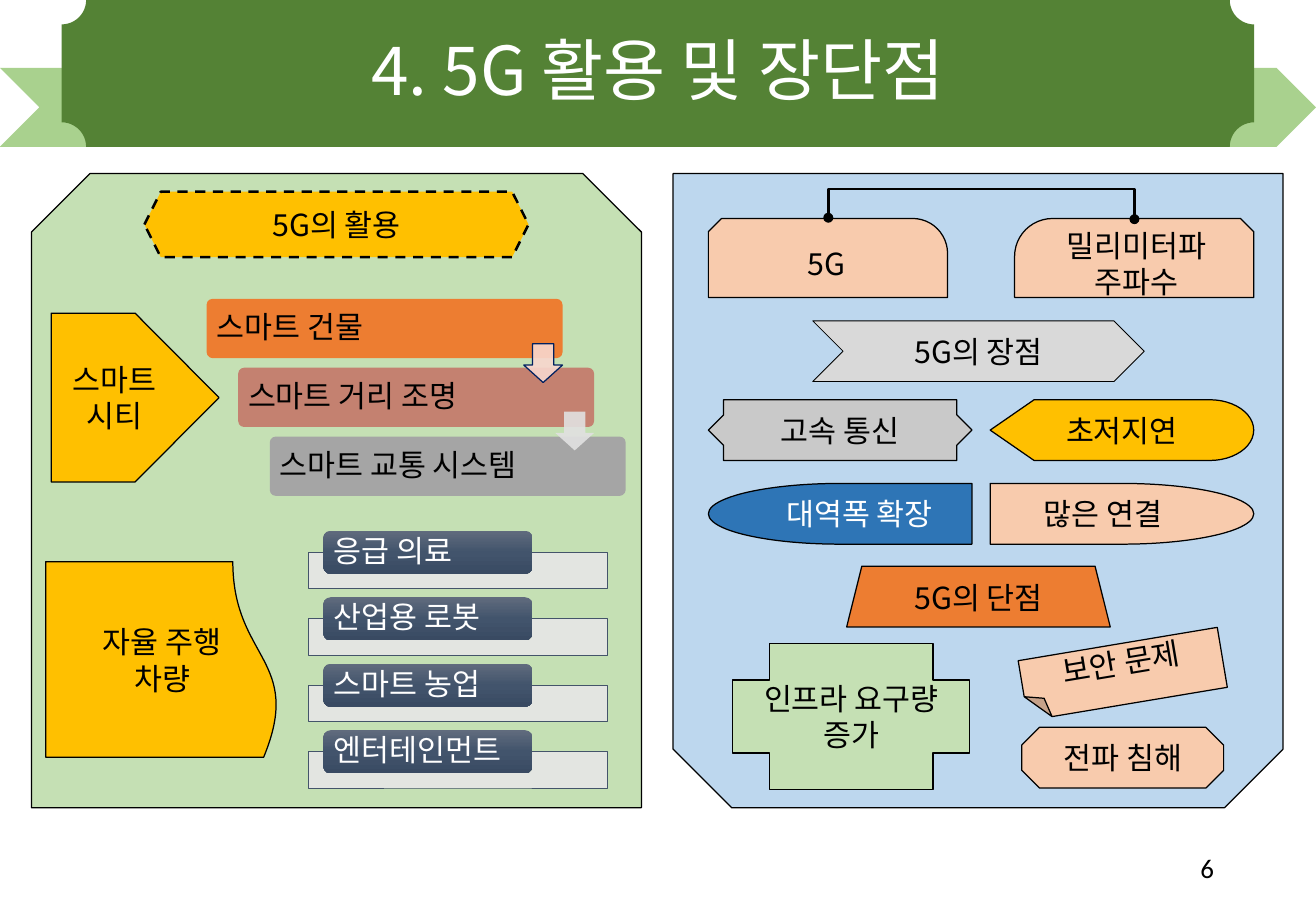
from copy import deepcopy
from dataclasses import dataclass

from lxml.etree import SubElement
from pptx import Presentation
from pptx.dml.color import RGBColor
from pptx.enum.dml import MSO_LINE
from pptx.enum.shapes import MSO_CONNECTOR, MSO_SHAPE
from pptx.enum.text import MSO_ANCHOR, PP_ALIGN
from pptx.oxml.ns import qn
from pptx.util import Cm, Pt


@dataclass(frozen=True)
class Theme:
    font: str = "Noto Sans CJK KR"
    number_font: str = "Calibri"
    title_size: int = 40
    body_size: int = 18
    number_size: int = 16
    black: str = "000000"
    white: str = "FFFFFF"
    ribbon: str = "A9D18E"
    banner: str = "548235"
    green: str = "C5E0B4"
    sky: str = "BDD7EE"
    yellow: str = "FFC000"
    orange: str = "ED7D31"
    peach: str = "F8CBAD"
    blue: str = "2E75B6"
    light_gray: str = "D9D9D9"
    silver: str = "C9C9C9"
    rose: str = "C48170"
    gray: str = "A5A5A5"
    track: str = "E7E6E6"
    slate: str = "44546A"
    navy: str = "002060"
    pink_arrow: str = "F8D7CE"
    gray_arrow: str = "E1E1E1"
    label_stops: tuple = ((0, "606B7D"), (0.5, "42546C"), (1, "394A62"))


theme = Theme()
LEFT_TEXT = {"align": PP_ALIGN.LEFT, "spacing": 0.9, "side": 0.17, "edge": 0}


def write_text(shape, text, color=theme.black, size=theme.body_size, font=theme.font,
               align=PP_ALIGN.CENTER, spacing=1.0, side=0.25, edge=0.13):
    frame = shape.text_frame
    frame_format = {"word_wrap": True, "vertical_anchor": MSO_ANCHOR.MIDDLE,
                    "margin_left": Cm(side), "margin_right": Cm(side),
                    "margin_top": Cm(edge), "margin_bottom": Cm(edge)}
    for name, value in frame_format.items():
        setattr(frame, name, value)
    for index, line in enumerate(text.split("\n")):
        paragraph = frame.add_paragraph() if index else frame.paragraphs[0]
        paragraph.alignment = align
        paragraph.line_spacing = spacing
        run = paragraph.add_run()
        run.text = line
        run.font.size = Pt(size)
        run.font.color.rgb = RGBColor.from_string(color)
        run.font.name = font
        SubElement(run._r.get_or_add_rPr(), qn("a:ea")).set("typeface", font)


def add_block(kind, box, fill, line=theme.black, width=0.75, text="", adjust=None,
              rotation=0, flip=False, opacity=100, **text_format):
    """Add a preset shape; box is left, top, width, height in centimetres."""
    shape = slide.shapes.add_shape(kind, *map(Cm, box))
    properties = shape._element.spPr
    shape.shadow.inherit = False
    shape.rotation = rotation
    if adjust:
        guides = properties.find(qn("a:prstGeom")).find(qn("a:avLst"))
        guides[:] = []
        for index, value in enumerate(adjust, 1):
            guide = SubElement(guides, qn("a:gd"))
            guide.set("name", f"adj{index}" if len(adjust) > 1 else "adj")
            guide.set("fmla", f"val {round(value * 100000)}")
    if flip:
        properties.xfrm.set("flipH", "1")
    shape.fill.solid()
    shape.fill.fore_color.rgb = RGBColor.from_string(fill)
    if opacity < 100:
        color = properties.find(qn("a:solidFill"))[0]
        SubElement(color, qn("a:alpha")).set("val", str(opacity * 1000))
    if line:
        shape.line.color.rgb = RGBColor.from_string(line)
        shape.line.width = Pt(width)
    else:
        shape.line.fill.background()
    if text:
        write_text(shape, text, **text_format)
    return shape


presentation = Presentation()
presentation.slide_width = Cm(27.51)
presentation.slide_height = Cm(19.05)
slide = presentation.slides.add_slide(presentation.slide_layouts[6])

# Banner, panels and slide number
add_block(MSO_SHAPE.CHEVRON, (0, 1.42, 27.51, 1.65), theme.ribbon, None)
add_block(MSO_SHAPE.PLAQUE, (1.29, 0, 24.93, 3.07), theme.banner, None)
title = slide.shapes.add_textbox(0, 0, Cm(27.51), Cm(3.07))
write_text(title, "4. 5G 활용 및 장단점", theme.white, theme.title_size, spacing=0.9)
for left, fill, rotation in ((0.66, theme.green, 0), (14.07, theme.sky, 180)):
    add_block(MSO_SHAPE.SNIP_2_SAME_RECTANGLE, (left, 3.63, 12.75, 13.26), fill,
              adjust=(0.096, 0), rotation=rotation)
number = slide.shapes.add_textbox(Cm(19.43), Cm(17.65), Cm(6.2), Cm(1.01))
write_text(number, "6", size=theme.number_size, font=theme.number_font, align=PP_ALIGN.RIGHT)

# Left panel: uses of 5G
heading = add_block(MSO_SHAPE.HEXAGON, (3.02, 4.01, 8.03, 1.37), theme.yellow,
                    width=1.5, text="5G의 활용")
heading.line.dash_style = MSO_LINE.DASH
add_block(MSO_SHAPE.PENTAGON, (1.07, 6.55, 3.51, 3.53), theme.yellow, text="스마트 시티")
add_block(MSO_SHAPE.FLOWCHART_DOCUMENT, (1.35, 11.35, 4.09, 4.88), theme.yellow, rotation=270)
vehicle = slide.shapes.add_textbox(Cm(1.7), Cm(12.9), Cm(3.38), Cm(1.8))
write_text(vehicle, "자율 주행 차량")

city_steps = (("스마트 건물", theme.orange), ("스마트 거리 조명", theme.rose),
              ("스마트 교통 시스템", theme.gray))
for step, (text, fill) in enumerate(city_steps):
    add_block(MSO_SHAPE.ROUNDED_RECTANGLE, (4.32 + 0.66 * step, 6.25 + 1.44 * step, 7.44, 1.24),
              fill, None, text=text, adjust=(0.1,), **LEFT_TEXT)
step_arrows = ((theme.pink_arrow, theme.navy), (theme.gray_arrow, None))
for step, (fill, line) in enumerate(step_arrows):
    add_block(MSO_SHAPE.DOWN_ARROW, (10.95 + 0.66 * step, 7.19 + 1.42 * step, 0.81, 0.81),
              fill, line, adjust=(0.55, 0.45), opacity=90)

for row, text in enumerate(("응급 의료", "산업용 로봇", "스마트 농업", "엔터테인먼트")):
    top = 11.1 + 1.39 * row
    add_block(MSO_SHAPE.RECTANGLE, (6.45, top + 0.45, 6.25, 0.76), theme.track, theme.slate,
              0.5, opacity=90)
    label = add_block(MSO_SHAPE.ROUNDED_RECTANGLE, (6.76, top, 4.37, 0.9), theme.slate, None,
                      text=text, color=theme.white, **LEFT_TEXT)
    label.fill.gradient()
    label.fill.gradient_angle = 270
    stops = label._element.spPr.find(".//" + qn("a:gsLst"))
    stops.insert(1, deepcopy(stops[0]))
    for stop, (position, color) in zip(label.fill.gradient_stops, theme.label_stops):
        stop.position = position
        stop.color.rgb = RGBColor.from_string(color)

# Right panel: strengths and weaknesses
LEFT, RIGHT, NOTE = 14.81, 20.7, 21.36
CELL = (5.51, 1.27)
right_blocks = (
    (MSO_SHAPE.SNIP_ROUND_RECTANGLE, (LEFT, 4.57, 5, 1.65), theme.peach, "5G",
     {"flip": True, "adjust": (0.443, 0.167)}),
    (MSO_SHAPE.SNIP_ROUND_RECTANGLE, (21.21, 4.57, 5, 1.65), theme.peach, "밀리미터파\n주파수",
     {"adjust": (0.48, 0.167)}),
    (MSO_SHAPE.CHEVRON, (16.99, 6.71, 6.93, 1.27), theme.light_gray, "5G의 장점", {"width": 0.5}),
    (MSO_SHAPE.LEFT_RIGHT_ARROW_CALLOUT, (LEFT, 8.36, *CELL), theme.silver, "고속 통신",
     {"adjust": (0.5, 0.25, 0.25, 0.901)}),
    (MSO_SHAPE.FLOWCHART_DISPLAY, (RIGHT, 8.36, *CELL), theme.yellow, "초저지연", {}),
    (MSO_SHAPE.FLOWCHART_DELAY, (LEFT, 10.11, *CELL), theme.blue, "대역폭 확장",
     {"flip": True, "color": theme.white}),
    (MSO_SHAPE.FLOWCHART_DELAY, (RIGHT, 10.11, *CELL), theme.peach, "많은 연결", {}),
    (MSO_SHAPE.TRAPEZOID, (17.7, 11.84, *CELL), theme.orange, "5G의 단점", {}),
    (MSO_SHAPE.CROSS, (15.32, 13.46, 4.95, 3.05), theme.green, "인프라 요구량 증가", {}),
    (MSO_SHAPE.FOLDED_CORNER, (NOTE, 13.46, 4.22, 1.27), theme.peach, "보안 문제",
     {"flip": True, "adjust": (0.398,), "rotation": 350.5}),
    (MSO_SHAPE.OCTAGON, (NOTE, 15.21, 4.22, 1.27), theme.peach, "전파 침해", {}),
)
for kind, box, fill, text, options in right_blocks:
    add_block(kind, box, fill, text=text, **options)

# Bracket joining the two top boxes: an elbow turned upright, bending 21 widths out
bracket = slide.shapes.add_connector(MSO_CONNECTOR.ELBOW, Cm(20.5), Cm(1.37), Cm(20.53), Cm(7.77))
bracket.line.color.rgb = RGBColor.from_string(theme.black)
bracket.line.width = Pt(1.5)
bracket_properties = bracket._element.spPr
for name, value in {"rot": "16200000", "flipV": "1"}.items():
    bracket_properties.xfrm.set(name, value)
bend = SubElement(bracket_properties.find(qn("a:prstGeom")).find(qn("a:avLst")), qn("a:gd"))
for name, value in {"name": "adj1", "fmla": "val 2100000"}.items():
    bend.set(name, value)
for end in ("a:headEnd", "a:tailEnd"):
    SubElement(bracket_properties.find(qn("a:ln")), qn(end)).set("type", "oval")
SubElement(bracket_properties, qn("a:effectLst"))

presentation.save("out.pptx")
